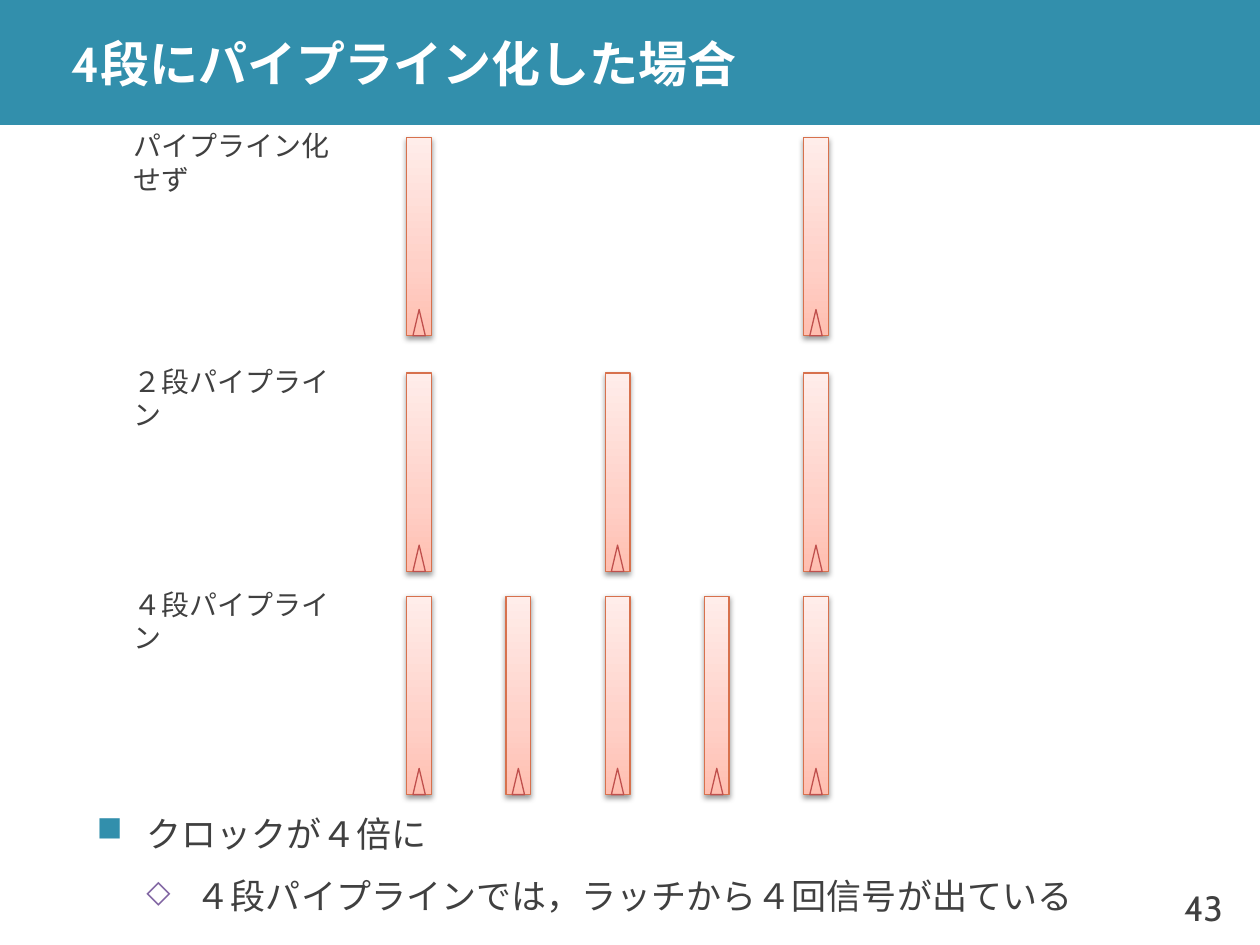
from typing import NamedTuple

from lxml import etree
from pptx import Presentation
from pptx.dml.color import RGBColor
from pptx.enum import shapes, text
from pptx.oxml import ns
from pptx.util import Cm, Pt

TEAL = RGBColor(0x32, 0x8F, 0xAC)
WHITE = RGBColor(0xFF, 0xFF, 0xFF)
GRAY = RGBColor(0x40, 0x40, 0x40)
PURPLE = RGBColor(0x80, 0x64, 0xA2)
ORANGE = RGBColor(0xD7, 0x71, 0x4D)
RED = RGBColor(0xC0, 0x50, 0x4D)
BLACK = RGBColor(0, 0, 0)
PINKS = {
    0: RGBColor(0xFF, 0xBE, 0xB0),
    35: RGBColor(0xFF, 0xD0, 0xC7),
    100: RGBColor(0xFF, 0xED, 0xEA),
}
LATIN, ASIAN = "Cabin", "Noto Sans CJK JP"
WIDE, HIGH, LEFT, SPAN = 0.5, 4, 8.2, 8


class Stage(NamedTuple):
    label: str
    top: float
    count: int


class Point(NamedTuple):
    words: str
    mark: str
    color: RGBColor
    size: int
    before: int
    after: int


STAGES = [
    Stage("パイプライン化せず", 2.77, 1),
    Stage("２段パイプライン", 7.52, 2),
    Stage("４段パイプライン", 12.02, 4),
]
POINTS = [
    Point("クロックが４倍に", "■", TEAL, 100, 0, 6),
    Point("４段パイプラインでは，ラッチから４回信号が出ている", "◇", PURPLE, 90, 3, 3),
]


def sub(node, tag: str, **attrs):
    """Append a DrawingML child element."""
    values = {key: str(val) for key, val in attrs.items()}
    return etree.SubElement(node, ns.qn("a:" + tag), values)


def add_box(slide, left: float, top: float, width: float, height: float,
            pad: float = 0.25, wrap: bool = True):
    frame = slide.shapes.add_textbox(Cm(left), Cm(top), Cm(width), Cm(height)).text_frame
    frame.word_wrap = wrap
    frame.vertical_anchor = text.MSO_ANCHOR.MIDDLE
    frame.margin_left = frame.margin_right = Cm(pad)
    frame.margin_top = frame.margin_bottom = 0
    return frame


def add_run(para, words: str, size: int, color: RGBColor = GRAY,
            face: str = LATIN, bold: bool = False) -> None:
    run = para.add_run()
    run.text = words
    font = run.font
    font.size, font.bold, font.name = Pt(size), bold, face
    font.color.rgb = color
    sub(run._r.get_or_add_rPr(), "ea", typeface=ASIAN)


def add_form(group, kind, left: float, top: float, width: float, height: float,
             color: RGBColor):
    form = group.shapes.add_shape(kind, Cm(left), Cm(top), Cm(width), Cm(height))
    form.line.color.rgb = color
    form.line.width = Pt(0.75)
    form.shadow.inherit = False
    return form


def shade(form) -> None:
    """Give a shape the pink gradient and a soft shadow below."""
    form.fill.gradient()
    form.fill.gradient_angle = 90
    props = form._element.spPr
    stops = props.find(".//" + ns.qn("a:gsLst"))
    for stop in list(stops):
        stops.remove(stop)
    for place, color in PINKS.items():
        sub(sub(stops, "gs", pos=place * 1000), "srgbClr", val=color)
    glow = sub(props.find(ns.qn("a:effectLst")), "outerShdw", blurRad=Pt(3.1),
               dist=Pt(1.6), dir=5400000, rotWithShape=0)
    sub(sub(glow, "srgbClr", val=BLACK), "alpha", val=38000)


def add_latch(slide, left: float, top: float) -> None:
    group = slide.shapes.add_group_shape()
    kinds = shapes.MSO_SHAPE
    shade(add_form(group, kinds.RECTANGLE, left, top, WIDE, HIGH, ORANGE))
    tip = 0.53
    clock = add_form(group, kinds.ISOSCELES_TRIANGLE, left + WIDE / 4,
                     top + HIGH - tip, WIDE / 2, tip, RED)
    clock.fill.background()


def add_stage(slide, stage: Stage) -> None:
    frame = add_box(slide, 2.7, stage.top, 4, 1, pad=0, wrap=False)
    add_run(frame.paragraphs[0], stage.label, 16, face=ASIAN)
    for step in range(stage.count + 1):
        add_latch(slide, LEFT + step * SPAN / stage.count, stage.top)


def add_points(slide) -> None:
    frame = add_box(slide, 1.7, 16.76, 23, 1.25)
    for level, point in enumerate(POINTS):
        para = frame.add_paragraph() if level else frame.paragraphs[0]
        para.level = level
        para.line_spacing = 1.1
        para.space_before, para.space_after = Pt(point.before), Pt(point.after)
        props = para._p.get_or_add_pPr()
        props.set("marL", str(Cm(level + 1)))
        props.set("indent", str(Cm(-1)))
        sub(sub(props, "buClr"), "srgbClr", val=point.color)
        sub(props, "buSzPct", val=point.size * 1000)
        sub(props, "buChar", char=point.mark)
        add_run(para, point.words, 20)


def main() -> None:
    deck = Presentation()
    deck.slide_width, deck.slide_height = Cm(25.4), Cm(19.05)
    slide = deck.slides.add_slide(deck.slide_layouts[6])

    band = slide.shapes.add_shape(shapes.MSO_SHAPE.RECTANGLE, 0, 0, Cm(25.4), Cm(2.52))
    band.fill.solid()
    band.fill.fore_color.rgb = TEAL
    band.line.fill.background()
    band.shadow.inherit = False

    title = add_box(slide, 1.2, 0, 24.2, 2.52)
    add_run(title.paragraphs[0], "4段にパイプライン化した場合", 28, WHITE, bold=True)
    page = add_box(slide, 23.2, 17.52, 1.7, 1.53).paragraphs[0]
    page.alignment = text.PP_ALIGN.RIGHT
    add_run(page, "43", 20)

    for stage in STAGES:
        add_stage(slide, stage)
    add_points(slide)
    deck.save("out.pptx")


if __name__ == "__main__":
    main()
